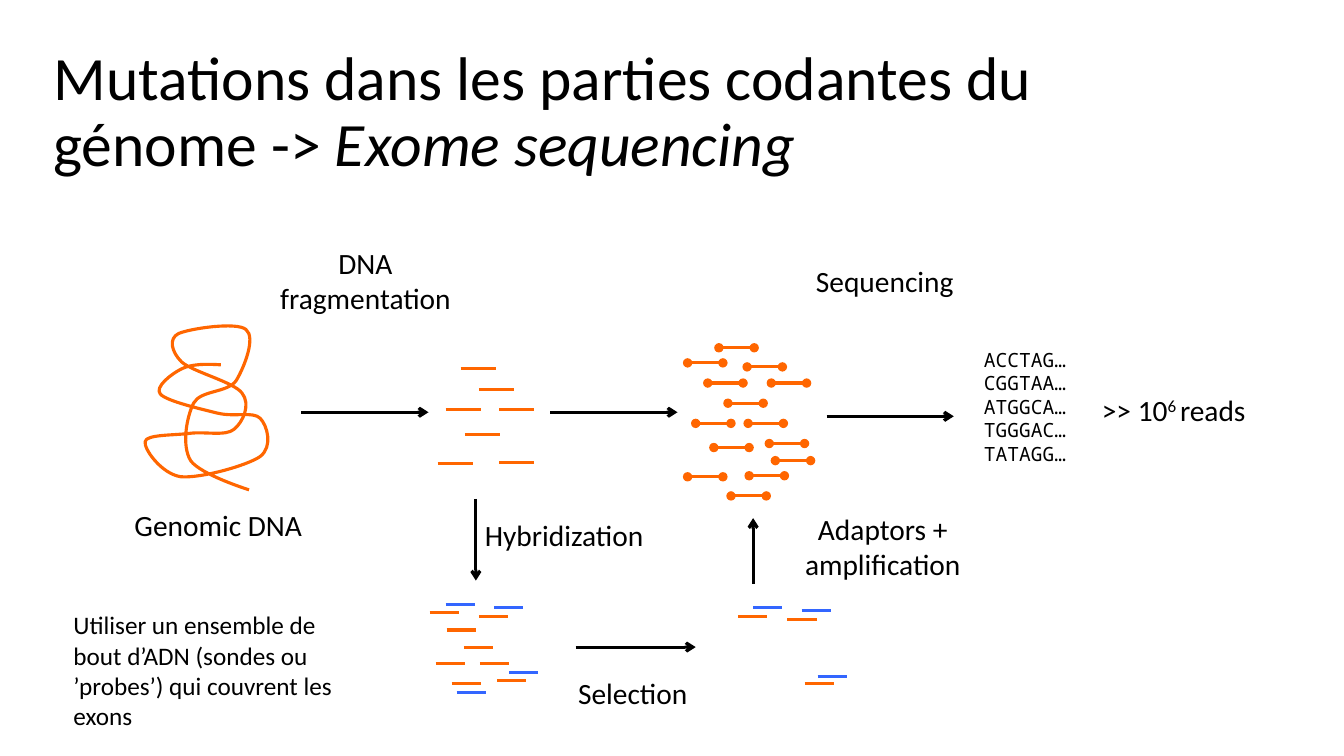
from lxml import etree
from pptx import Presentation
from pptx.dml.color import RGBColor
from pptx.enum import shapes, text
from pptx.oxml import ns
from pptx.util import Inches, Pt

COLOURS = {"ink": "000000", "dna": "FF6600", "probe": "3366FF"}
LEFT, CENTRE = text.PP_ALIGN.LEFT, text.PP_ALIGN.CENTER


def add_line(start, end, colour, head=None, tail=None):
    line = page.shapes.add_connector(
        shapes.MSO_CONNECTOR.STRAIGHT, *[Inches(v) for v in (*start, *end)])
    line.line.color.rgb = RGBColor.from_string(COLOURS[colour])
    line.line.width = Pt(2.25)
    properties = line._element.spPr
    outline = properties.find(ns.qn("a:ln"))
    for tag, kind in (("a:headEnd", head), ("a:tailEnd", tail)):
        if kind:
            etree.SubElement(outline, ns.qn(tag)).set("type", kind)
    etree.SubElement(properties, ns.qn("a:effectLst"))


def add_text(place, lines, size=21, align=CENTRE, font="Calibri"):
    box = page.shapes.add_textbox(*[Inches(v) for v in place])
    frame = box.text_frame
    frame.word_wrap = True
    frame.auto_size = text.MSO_AUTO_SIZE.SHAPE_TO_FIT_TEXT
    frame.text = lines
    for para in frame.paragraphs:
        para.alignment = align
        para.font.name = font
        para.font.size = Pt(size)
        para.font.color.rgb = RGBColor.from_string(COLOURS["ink"])
    return frame


deck = Presentation()
deck.slide_width, deck.slide_height = Inches(13.33), Inches(7.5)
page = deck.slides.add_slide(deck.slide_layouts[5])

title = page.shapes.title
title.left, title.top = Inches(0.43), Inches(0.4)
title.width, title.height = Inches(11.99), Inches(1.45)
title.text_frame.auto_size = text.MSO_AUTO_SIZE.NONE
title.text_frame.vertical_anchor = text.MSO_ANCHOR.MIDDLE
para = title.text_frame.paragraphs[0]
para.alignment = LEFT
para.line_spacing = 0.9
para.font.name = "Calibri"
para.font.size = Pt(44)
para.font.color.rgb = RGBColor.from_string(COLOURS["ink"])
para.add_run().text = "Mutations dans les parties codantes du génome -> "
span = para.add_run()
span.text = "Exome sequencing"
span.font.italic = True

strand_left, strand_top, strand_right, strand_bottom = 144, 323, 266, 486
strand_curves = [
    (205, 361, 190, 361, 180, 366), (170, 371, 153, 384, 159, 391),
    (165, 398, 200, 406, 216, 410), (233, 414, 251, 408, 258, 415),
    (265, 422, 271, 443, 258, 453), (245, 462, 198, 475, 179, 473),
    (160, 470, 142, 445, 144, 438), (145, 431, 173, 432, 188, 430),
    (203, 428, 224, 433, 232, 426), (241, 419, 249, 401, 240, 390),
    (232, 379, 191, 369, 180, 359), (170, 349, 167, 336, 177, 331),
    (188, 326, 235, 319, 244, 327), (254, 335, 242, 365, 234, 378),
    (225, 390, 199, 387, 192, 400), (185, 414, 180, 442, 189, 457),
    (199, 471, 247, 486, 247, 486),
]
builder = page.shapes.build_freeform(strand_left, strand_top, scale=Inches(0.01))
builder.add_line_segments([(strand_right, strand_bottom)], close=False)
strand = builder.convert_to_shape()
strand.shadow.inherit = False
strand.fill.background()
strand.line.color.rgb = RGBColor.from_string(COLOURS["dna"])
strand.line.width = Pt(2.25)
outline = next(strand._element.iter(ns.qn("a:path")))
for segment in list(outline):
    outline.remove(segment)
for tag, values in [("a:moveTo", (219, 362))] + [
        ("a:cubicBezTo", curve) for curve in strand_curves]:
    segment = etree.SubElement(outline, ns.qn(tag))
    for x, y in zip(values[::2], values[1::2]):
        point = etree.SubElement(segment, ns.qn("a:pt"))
        point.set("x", str(x - strand_left))
        point.set("y", str(y - strand_top))

fragments = [(4.57, 3.66), (4.95, 4.06), (4.61, 4.31), (4.34, 4.6),
             (4.42, 4.06), (4.75, 3.86), (4.95, 4.59)]
adapted = [(6.82, 3.6), (7.02, 3.8), (7.41, 3.64), (7.42, 4.2), (7.08, 4.44),
           (6.82, 4.73), (6.9, 4.2), (7.63, 4.4), (7.22, 4), (7.43, 4.72),
           (7.69, 4.57), (7.65, 3.8), (7.25, 4.92), (7.13, 3.45)]
hybridized = [(4.26, 6.08), (4.43, 6.25), (4.75, 6.12), (4.76, 6.58),
              (4.48, 6.78), (4.32, 6.58), (4.93, 6.75), (4.6, 6.42)]
selected = [(7.32, 6.12), (7.81, 6.15), (7.98, 6.78)]
probes = [(4.9, 6.03), (4.42, 6), (5.05, 6.67), (4.53, 6.87),
          (7.95, 6.06), (7.47, 6.03), (8.11, 6.71)]
for starts, length, colour, cap in [
    (fragments, 0.35, "dna", None),
    (adapted, 0.35, "dna", "oval"),
    (hybridized + selected, 0.29, "dna", None),
    (probes, 0.29, "probe", None),
]:
    for x, y in starts:
        add_line((x, y), (x + length, y), colour, cap, cap)

for start, end in [
    ((2.99, 4.09), (4.25, 4.09)),
    ((5.46, 4.09), (6.72, 4.09)),
    ((8.2, 4.13), (9.46, 4.13)),
    ((4.72, 4.95), (4.72, 5.76)),
    ((5.71, 6.42), (6.9, 6.42)),
    ((7.47, 5.79), (7.47, 5.14)),
]:
    add_line(start, end, "ink", tail="arrow")

for place, label in [
    ((2.51, 2.38, 2.23, 0.81), "DNA fragmentation"),
    ((7.63, 5.02, 2.25, 0.81), "Adaptors + amplification"),
    ((7.85, 2.56, 1.85, 0.45), "Sequencing"),
    ((1.18, 4.98, 1.97, 0.45), "Genomic DNA"),
    ((5.15, 6.65, 2.25, 0.45), "Selection"),
    ((4.47, 5.08, 2.25, 0.45), "Hybridization"),
]:
    add_text(place, label)

add_text((9.66, 3.4, 2.14, 1.28),
         "ACCTAG…\nCGGTAA…\nATGGCA…\nTGGGAC…\nTATAGG…",
         14, LEFT, "Noto Sans Mono")
add_text((0.63, 6, 3.11, 1.31),
         "Utiliser un ensemble de bout d’ADN (sondes ou ’probes’) "
         "qui couvrent les exons", 18, LEFT)
para = add_text((10.83, 3.84, 1.78, 0.45), ">> 10", align=LEFT).paragraphs[0]
exponent = para.add_run()
exponent.text = "6 "
exponent.font._element.set("baseline", "30000")
para.add_run().text = "reads"

deck.save("out.pptx")
